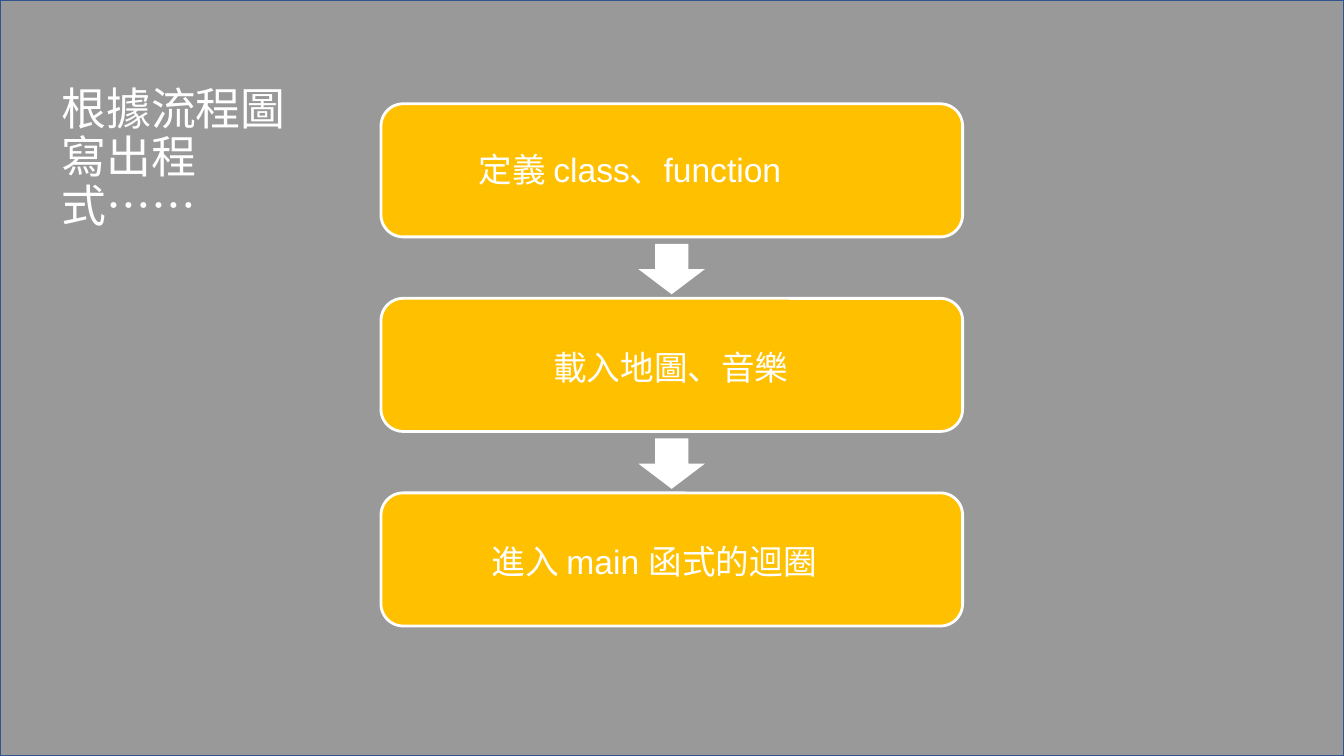
from pptx import Presentation
from pptx import util as u
from pptx.dml.color import RGBColor
from pptx.enum import shapes, text
from pptx.oxml.ns import qn
from lxml import etree

BLACK = RGBColor(0x00, 0x00, 0x00)
WHITE = RGBColor(0xFF, 0xFF, 0xFF)
AMBER = RGBColor(0xFF, 0xC0, 0x00)
NAVY = RGBColor(0x31, 0x53, 0x8F)

COLUMNS, ROWS = 40, 30
STEP_LEFT, STEP_TOP = 11.34, 4.12
STEP_WIDTH, STEP_HEIGHT, STEP_PITCH = 17.31, 5.28, 7.72
STEPS = [
    ("定義 class、function", 13.95, 1.6, 12.09),
    ("載入地圖、音樂", 16.17, 1.72, 7.68),
    ("進入 main 函式的迴圈", 14.34, 1.72, 11.31),
]


def write(shape, words, font="Arial", size=24, color=WHITE,
          anchor=text.MSO_ANCHOR.TOP, spacing=1.0):
    frame = shape.text_frame
    frame.word_wrap = True
    frame.auto_size = text.MSO_AUTO_SIZE.NONE
    frame.vertical_anchor = anchor
    frame.margin_left = frame.margin_right = u.Inches(0.1)
    frame.margin_top = frame.margin_bottom = u.Inches(0.05)
    paragraph = frame.paragraphs[0]
    paragraph.alignment = text.PP_ALIGN.LEFT
    paragraph.line_spacing = spacing
    run = paragraph.add_run()
    run.text = words
    run.font.name = font
    run.font.size = u.Pt(size)
    run.font.color.rgb = color


class FlowSlide:
    def __init__(self, presentation):
        self.column = presentation.slide_width / COLUMNS
        self.row = presentation.slide_height / ROWS
        self.slide = presentation.slides.add_slide(presentation.slide_layouts[5])

    def area(self, left, top, width, height):
        return (round(left * self.column), round(top * self.row),
                round(width * self.column), round(height * self.row))

    def block(self, kind, area, fill, line=None, opacity=None):
        shape = self.slide.shapes.add_shape(kind, *self.area(*area))
        shape.shadow.inherit = False
        shape.fill.solid()
        shape.fill.fore_color.rgb = fill
        if opacity is not None:
            color = shape.fill._xPr.find(qn("a:solidFill"))[0]
            etree.SubElement(color, qn("a:alpha"), val=str(opacity * 1000))
        if line is None:
            shape.line.fill.background()
        else:
            shape.line.color.rgb = line
            shape.line.width = u.Pt(2)
        return shape

    def label(self, words, area):
        write(self.slide.shapes.add_textbox(*self.area(*area)), words)

    def title(self, words, area):
        title = self.slide.shapes.title
        title.left, title.top, title.width, title.height = self.area(*area)
        write(title, words, font="Calibri", size=32,
              anchor=text.MSO_ANCHOR.BOTTOM, spacing=0.9)
        title.element.getparent().append(title.element)


def main():
    presentation = Presentation()
    presentation.slide_width = u.Inches(13.33)
    presentation.slide_height = u.Inches(7.5)
    flow = FlowSlide(presentation)
    kinds = shapes.MSO_SHAPE
    flow.block(kinds.RECTANGLE, (0, 0, COLUMNS, ROWS), BLACK, NAVY, opacity=40)
    for index, (words, left, offset, width) in enumerate(STEPS):
        top = STEP_TOP + index * STEP_PITCH
        flow.block(kinds.ROUNDED_RECTANGLE,
                   (STEP_LEFT, top, STEP_WIDTH, STEP_HEIGHT), AMBER, WHITE)
        flow.label(words, (left, top + offset, width, 2))
        if index:
            flow.block(kinds.DOWN_ARROW, (19, top - 2.16, 1.98, 2), WHITE)
    flow.title("根據流程圖寫出程式⋯⋯", (1.53, STEP_TOP, 8.25, STEP_HEIGHT))
    presentation.save("out.pptx")


if __name__ == "__main__":
    main()
